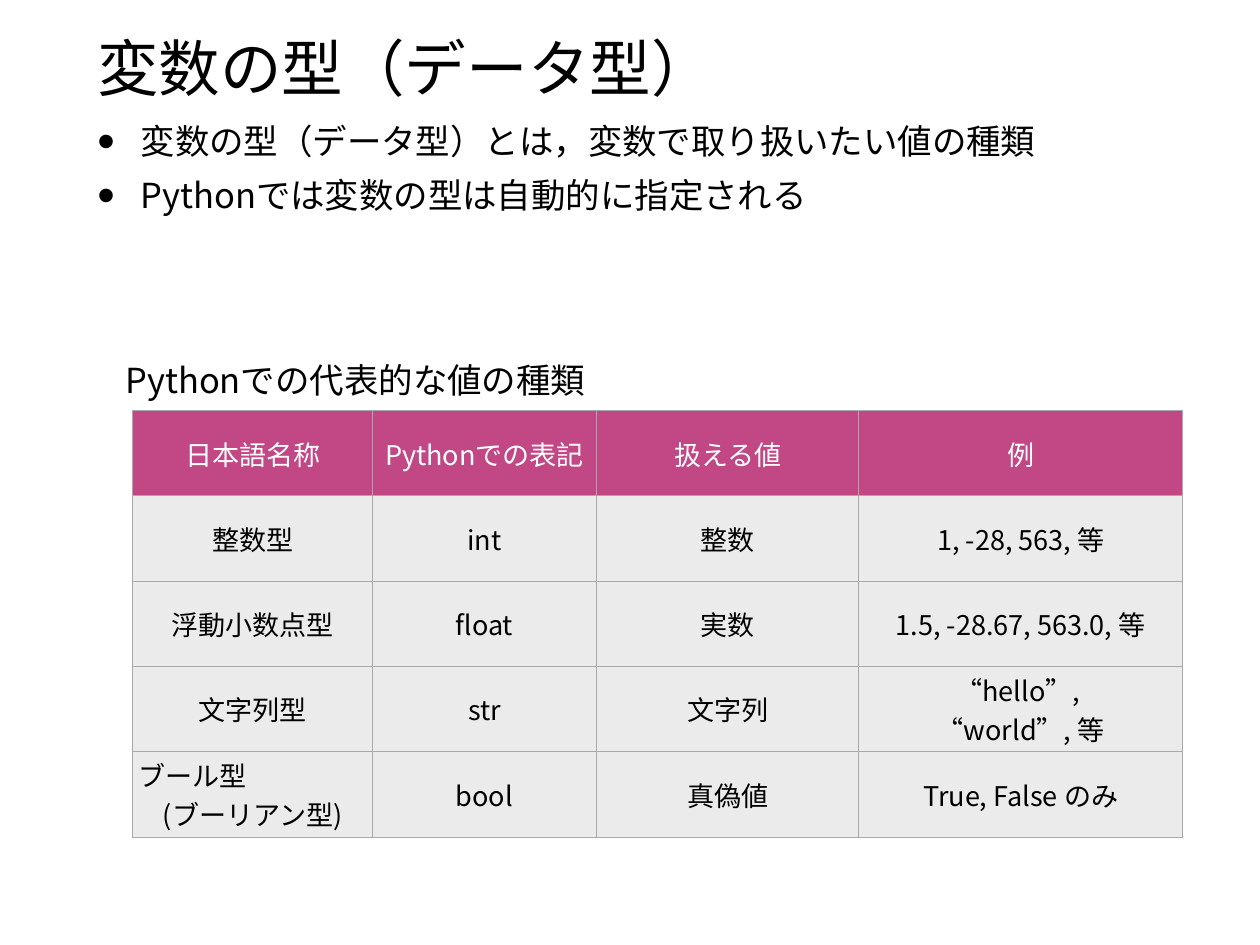
from dataclasses import dataclass

from lxml import etree
from pptx import Presentation
from pptx import util as u
from pptx.dml.color import RGBColor
from pptx.enum import text
from pptx.oxml.ns import qn


@dataclass(frozen=True)
class Theme:
    font: str = "Noto Sans CJK JP"
    ink: str = "000000"
    white: str = "FFFFFF"
    head: str = "C24785"
    body: str = "EBEBEB"
    rule: str = "A6AAA9"
    title: int = 50
    lead: int = 28
    cell: int = 22
    inset: float = 0.06
    tight: float = 0.02


T = Theme()
WIDE, HIGH = 14.22, 10.67
LEFT, MID = text.PP_ALIGN.LEFT, text.PP_ALIGN.CENTER
TOP, HALF = text.MSO_ANCHOR.TOP, text.MSO_ANCHOR.MIDDLE

POINTS = [
    "変数の型（データ型）とは，変数で取り扱いたい値の種類",
    "Pythonでは変数の型は自動的に指定される",
]
COLS = [2.7, 2.53, 2.96, 3.65]
# "\v" breaks a line, "\n" starts a paragraph
ROWS = [
    ["日本語名称", "Pythonでの表記", "扱える値", "例"],
    ["整数型", "int", "整数", "1, -28, 563, 等"],
    ["浮動小数点型", "float", "実数", "1.5, -28.67, 563.0, 等"],
    ["文字列型", "str", "文字列", "“hello”, \v“world”, 等"],
    ["ブール型\n(ブーリアン型)", "bool", "真偽値", "True, False のみ"],
]


def share(x, y, w, h):
    """Turn shares of the slide's size into lengths."""
    return [u.Inches(v) for v in (x * WIDE, y * HIGH, w * WIDE, h * HIGH)]


def style(para, size, color=T.ink, align=LEFT):
    para.alignment = align
    font = para.font
    font.size = u.Pt(size)
    font.color.rgb = RGBColor.from_string(color)
    font.name = T.font
    props = para._p.pPr.find(qn("a:defRPr"))
    etree.SubElement(props, qn("a:ea"), typeface=T.font)


def pad(item, tall=T.inset):
    """Set the margins of a text frame or a table cell."""
    item.margin_left = item.margin_right = u.Inches(T.inset)
    item.margin_top = item.margin_bottom = u.Inches(tall)


def frame(shape, anchor, wrap=True):
    area = shape.text_frame
    area.auto_size = text.MSO_AUTO_SIZE.NONE
    area.word_wrap = wrap
    area.vertical_anchor = anchor
    pad(area)
    return area


def bullet(para):
    props = para._p.get_or_add_pPr()
    props.set("marL", str(u.Inches(0.49)))
    props.set("indent", str(-u.Inches(0.49)))
    etree.SubElement(props, qn("a:buSzPct"), val="145000")
    etree.SubElement(props, qn("a:buFont"), typeface="Arial")
    etree.SubElement(props, qn("a:buChar"), char="•")


def border(cell):
    props = cell._tc.get_or_add_tcPr()
    for side in ("lnL", "lnR", "lnT", "lnB"):
        line = etree.SubElement(props, qn("a:" + side), w=str(u.Pt(1)))
        fill = etree.SubElement(line, qn("a:solidFill"))
        etree.SubElement(fill, qn("a:srgbClr"), val=T.rule)


def heading(slide, box):
    title = slide.shapes.title
    title.left, title.top, title.width, title.height = box
    area = frame(title, HALF)
    area.text = "変数の型（データ型）"
    style(area.paragraphs[0], T.title)


def points(slide, box):
    area = frame(slide.shapes.add_textbox(*box), TOP)
    area.text = "\n".join(POINTS)
    for n, para in enumerate(area.paragraphs):
        if n:
            para.space_before = u.Pt(10)
        bullet(para)
        style(para, T.lead)


def caption(slide, box):
    area = frame(slide.shapes.add_textbox(*box), HALF, wrap=False)
    area.text = "Pythonでの代表的な値の種類"
    style(area.paragraphs[0], T.lead)


def types(slide, box):
    grid = slide.shapes.add_table(len(ROWS), len(COLS), *box).table
    for col, part in zip(grid.columns, COLS):
        col.width = int(box[2] * part / sum(COLS))
    for r, row in enumerate(ROWS):
        grid.rows[r].height = int(box[3] / len(ROWS))
        back, ink = (T.body, T.ink) if r else (T.head, T.white)
        for c, words in enumerate(row):
            cell = grid.cell(r, c)
            border(cell)
            cell.fill.solid()
            cell.fill.fore_color.rgb = RGBColor.from_string(back)
            cell.vertical_anchor = HALF
            # Tight margins let two lines fit the row height
            pad(cell, T.tight)
            cell.text = words
            # The last paragraph is centred; one above it starts at the left
            paras = cell.text_frame.paragraphs
            for n, para in enumerate(paras, 1):
                style(para, T.cell, ink, MID if n == len(paras) else LEFT)


def main():
    deck = Presentation()
    deck.slide_width, deck.slide_height = u.Inches(WIDE), u.Inches(HIGH)
    slide = deck.slides.add_slide(deck.slide_layouts[5])
    # Title and bullets share one column
    heading(slide, share(0.073, 0.024, 0.854, 0.094))
    points(slide, share(0.073, 0.122, 0.854, 0.22))
    # Caption and table
    caption(slide, share(0.0955, 0.378, 0.386, 0.047))
    types(slide, share(0.1055, 0.4345, 0.833, 0.4515))
    deck.save("out.pptx")


if __name__ == "__main__":
    main()
